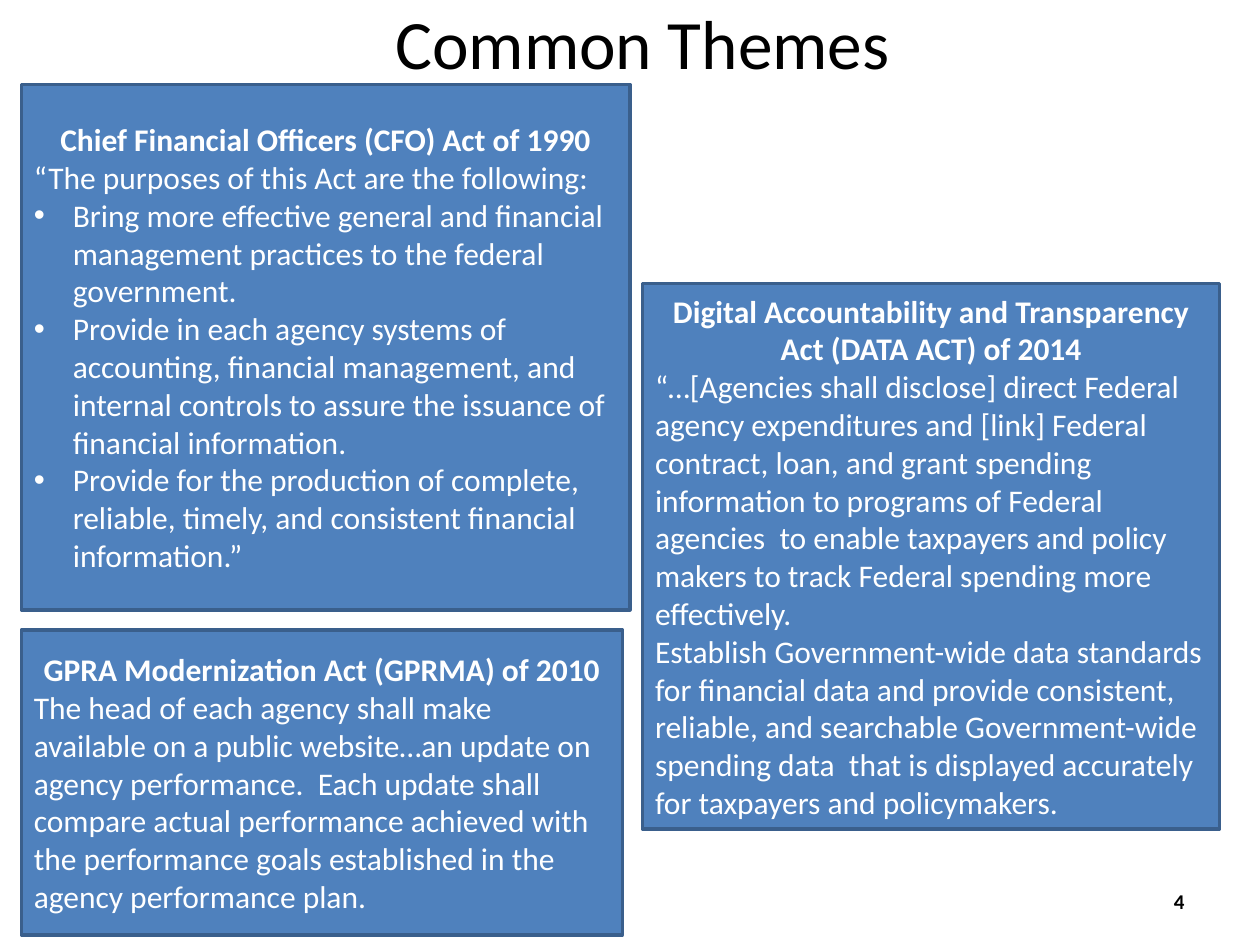
"""Build the Common Themes slide comparing three federal accountability acts."""
from lxml.etree import SubElement
from pptx import Presentation
from pptx.dml.color import RGBColor
from pptx.enum.shapes import MSO_SHAPE
from pptx.enum.text import MSO_ANCHOR, PP_ALIGN
from pptx.oxml.ns import qn
from pptx.util import Inches, Pt

COLORS = {"panel": "4F81BD", "border": "3A5F8C", "light": "FFFFFF", "dark": "000000"}
FONT = "Calibri"
BULLET_INDENT = 0.31

LABELS = [
    ("Common Themes", (0.6, 0, 9, 0.67), 39.6, False, PP_ALIGN.CENTER),
    ("4", (7.17, 6.95, 2.33, 0.4), 12, True, PP_ALIGN.RIGHT),
]

ACTS = [
    {
        "heading": "GPRA Modernization Act (GPRMA) of 2010",
        "box": (0.17, 5, 4.77, 2.42),
        "body": [
            "The head of each agency shall make available on a public website…an update on "
            "agency performance.  Each update shall compare actual performance achieved with "
            "the performance goals established in the agency performance plan.",
        ],
        "bullets": [],
    },
    {
        "heading": "Chief Financial Officers (CFO) Act of 1990",
        "box": (0.17, 0.67, 4.83, 4.17),
        "body": ["“The purposes of this Act are the following:"],
        "bullets": [
            "Bring more effective general and financial management practices to the federal "
            "government.",
            "Provide in each agency systems of accounting, financial management, and internal "
            "controls to assure the issuance of financial information.",
            "Provide for the production of complete, reliable, timely, and consistent "
            "financial information.”",
        ],
    },
    {
        "heading": "Digital Accountability and Transparency Act (DATA ACT) of 2014",
        "box": (5.1, 2.25, 4.58, 4.33),
        "body": [
            "“…[Agencies shall disclose] direct Federal agency expenditures and [link] Federal "
            "contract, loan, and grant spending information to programs of Federal agencies  to "
            "enable taxpayers and policy makers to track Federal spending more effectively.",
            "Establish Government-wide data standards for financial data and provide "
            "consistent, reliable, and searchable Government-wide spending data  that is "
            "displayed accurately for taxpayers and policymakers.",
        ],
        "bullets": [],
    },
]


def color(name):
    return RGBColor.from_string(COLORS[name])


def style(paragraph, size, shade, bold, align):
    paragraph.alignment = align
    for run in paragraph.runs:
        run.font.name = FONT
        run.font.size = Pt(size)
        run.font.bold = bold
        run.font.color.rgb = color(shade)


def add_bullet(paragraph):
    properties = paragraph._p.get_or_add_pPr()
    properties.set("marL", str(Inches(BULLET_INDENT)))
    properties.set("indent", str(-Inches(BULLET_INDENT)))
    SubElement(properties, qn("a:buFont")).set("typeface", "Arial")
    SubElement(properties, qn("a:buChar")).set("char", "•")


def add_label(slide, wording, box, size, bold, align):
    label = slide.shapes.add_textbox(*map(Inches, box)).text_frame
    label.word_wrap = True
    label.vertical_anchor = MSO_ANCHOR.MIDDLE
    label.text = wording
    style(label.paragraphs[0], size, "dark", bold, align)


def add_act(slide, act):
    panel = slide.shapes.add_shape(MSO_SHAPE.RECTANGLE, *map(Inches, act["box"]))
    panel.shadow.inherit = False
    panel.fill.solid()
    panel.fill.fore_color.rgb = color("panel")
    panel.line.color.rgb = color("border")
    panel.line.width = Pt(2)
    frame = panel.text_frame
    frame.word_wrap = True
    frame.vertical_anchor = MSO_ANCHOR.MIDDLE
    frame.text = "\n".join([act["heading"], *act["body"], *act["bullets"]])
    heading, *details = frame.paragraphs
    style(heading, 18, "light", True, PP_ALIGN.CENTER)
    for position, detail in enumerate(details):
        if position >= len(act["body"]):
            add_bullet(detail)
        style(detail, 18, "light", False, PP_ALIGN.LEFT)


def main():
    deck = Presentation()
    deck.slide_width, deck.slide_height = Inches(10), Inches(7.5)
    slide = deck.slides.add_slide(deck.slide_layouts[6])
    for label in LABELS:
        add_label(slide, *label)
    for act in ACTS:
        add_act(slide, act)
    deck.save("out.pptx")


if __name__ == "__main__":
    main()
